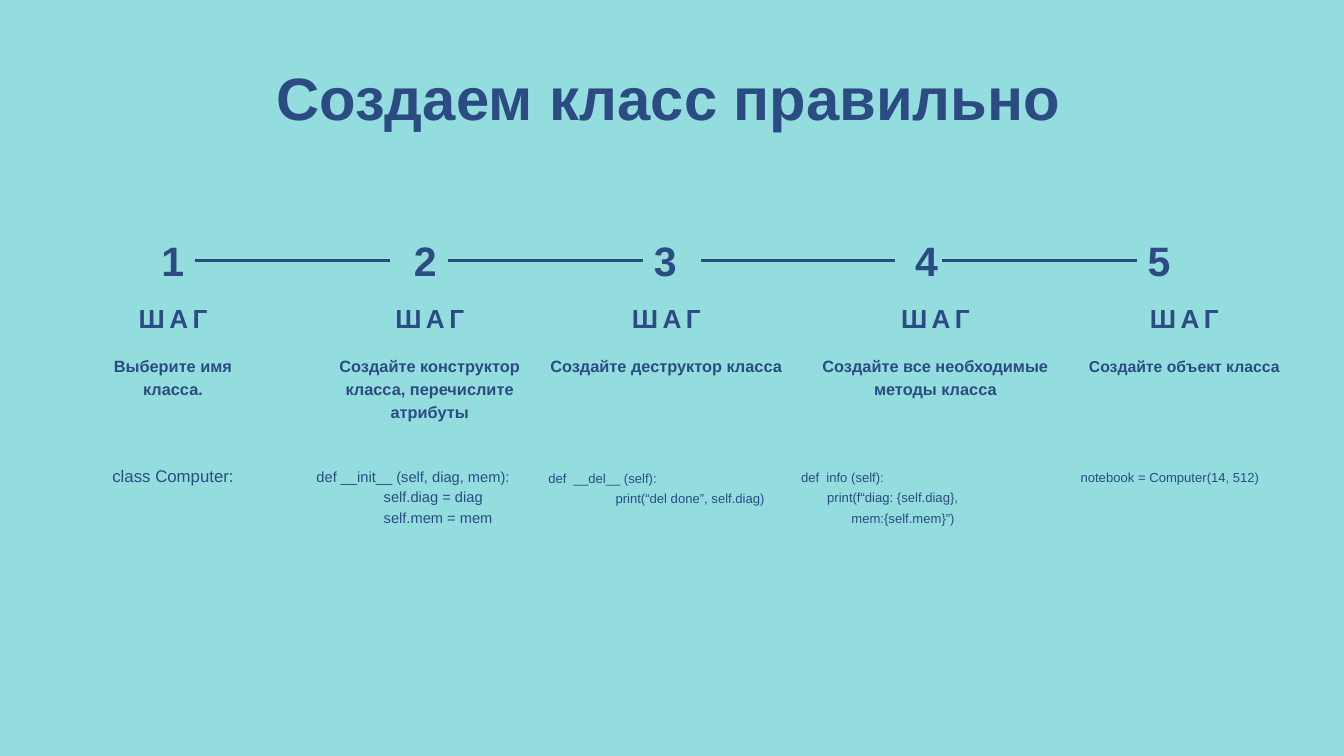
import pptx
import pptx.util
import pptx.enum.text
import pptx.enum.shapes
import pptx.dml.color
import pptx.oxml.ns
import lxml.etree

Inches = pptx.util.Inches
Pt = pptx.util.Pt
Align = pptx.enum.text.PP_ALIGN
COLORS = {"background": "94DDDE", "ink": "2B4B82"}
INK = pptx.dml.color.RGBColor.from_string(COLORS["ink"])


def write(box, text, size, leading, bold=True, align=Align.CENTER, spacing=0, indents=(0,)):
    frame = box.text_frame
    frame.word_wrap = True
    frame.auto_size = pptx.enum.text.MSO_AUTO_SIZE.NONE
    frame.vertical_anchor = pptx.enum.text.MSO_ANCHOR.TOP
    frame.margin_left = frame.margin_right = frame.margin_top = frame.margin_bottom = 0
    frame.text = text
    for paragraph, indent in zip(frame.paragraphs, indents):
        paragraph.alignment = align
        paragraph.line_spacing = Pt(leading)
        if indent:
            paragraph._p.get_or_add_pPr().set("marL", str(Inches(indent)))
        run = paragraph.runs[0]
        run.font.name = "Arial"
        run.font.size = Pt(size)
        run.font.bold = bold
        run.font.color.rgb = INK
        if spacing:
            run._r.get_or_add_rPr().set("spc", str(round(spacing * 100)))
    return box


def add_text(left, top, width, height, text, **form):
    box = slide.shapes.add_textbox(Inches(left), Inches(top), Inches(width), Inches(height))
    return write(box, text, **form)


presentation = pptx.Presentation()
presentation.slide_width = Inches(20)
presentation.slide_height = Inches(11.25)
slide = presentation.slides.add_slide(presentation.slide_layouts[5])
slide.background.fill.solid()
slide.background.fill.fore_color.rgb = pptx.dml.color.RGBColor.from_string(COLORS["background"])

title = slide.shapes.title
title.left, title.top = Inches(1.12), Inches(0.91)
title.width, title.height = Inches(17.65), Inches(0.97)
write(title, "Создаем класс правильно", size=64, leading=76.8)

steps = [
    dict(left=1.23, width=2.69, number_left=2.24, task="Выберите имя класса.", task_height=0.97,
         code="class Computer:", code_top=6.93, code_height=0.29,
         code_form=dict(size=18, leading=21.1, align=Align.CENTER)),
    dict(left=4.71, width=3.37, number_left=6,
         task="Создайте конструктор класса, перечислите атрибуты", task_height=1.64,
         code="def __init__ (self, diag, mem):\nself.diag = diag\nself.mem = mem",
         code_top=6.92, code_height=0.89, code_form=dict(size=15.7, indents=(0, 1, 1))),
    dict(left=8.16, width=3.51, number_left=9.57, task="Создайте деструктор класса", task_height=0.63,
         code="def  __del__ (self):\nprint(“del done”, self.diag)",
         code_top=6.93, code_height=0.58, code_form=dict(indents=(0, 1))),
    dict(left=11.92, width=4, number_left=13.46,
         task="Создайте все необходимые методы класса", task_height=0.97,
         code="def  info (self):\nprint(f“diag: {self.diag},\nmem:{self.mem}”)",
         code_top=6.91, code_height=0.88, code_form=dict(indents=(0, 0.39, 0.75))),
    dict(left=16.08, width=3.09, number_left=16.92, task="Создайте объект класса", task_height=0.63,
         task_form=dict(size=16.9, leading=23.6),
         code="notebook = Computer(14, 512)", code_top=6.91, code_height=0.9, code_form={}),
]
task_default = dict(size=17.5, leading=24.4)
code_default = dict(size=14, leading=21.9, bold=False, align=Align.LEFT)

numbers = []
for number, step in enumerate(steps, 1):
    left, width = step["left"], step["width"]
    add_text(left, 4.42, width, 0.58, "ШАГ", size=28, leading=39.2, spacing=4.8)
    add_text(left, step["code_top"], width, step["code_height"], step["code"],
             **{**code_default, **step["code_form"]})
    add_text(left, 5.26, width, step["task_height"], step["task"],
             **{**task_default, **step.get("task_form", {})})
    numbers.append(add_text(step["number_left"], 3.38, 0.66, 1, str(number),
                            size=44, leading=61.6, spacing=7.5))

link_y = 3.88
links = [(2.9, 5.8, 0, None), (6.66, 9.57, 1, 2), (10.43, 13.32, None, None), (14.02, 16.92, None, 4)]
for start, end, from_number, to_number in links:
    link = slide.shapes.add_connector(pptx.enum.shapes.MSO_CONNECTOR.STRAIGHT,
                                      Inches(start), Inches(link_y), Inches(end), Inches(link_y))
    if from_number is not None:
        link.begin_connect(numbers[from_number], 3)
    if to_number is not None:
        link.end_connect(numbers[to_number], 1)
    link.line.color.rgb = INK
    link.line.width = Pt(3)
    lxml.etree.SubElement(link._element.spPr, pptx.oxml.ns.qn("a:effectLst"))

presentation.save("out.pptx")
